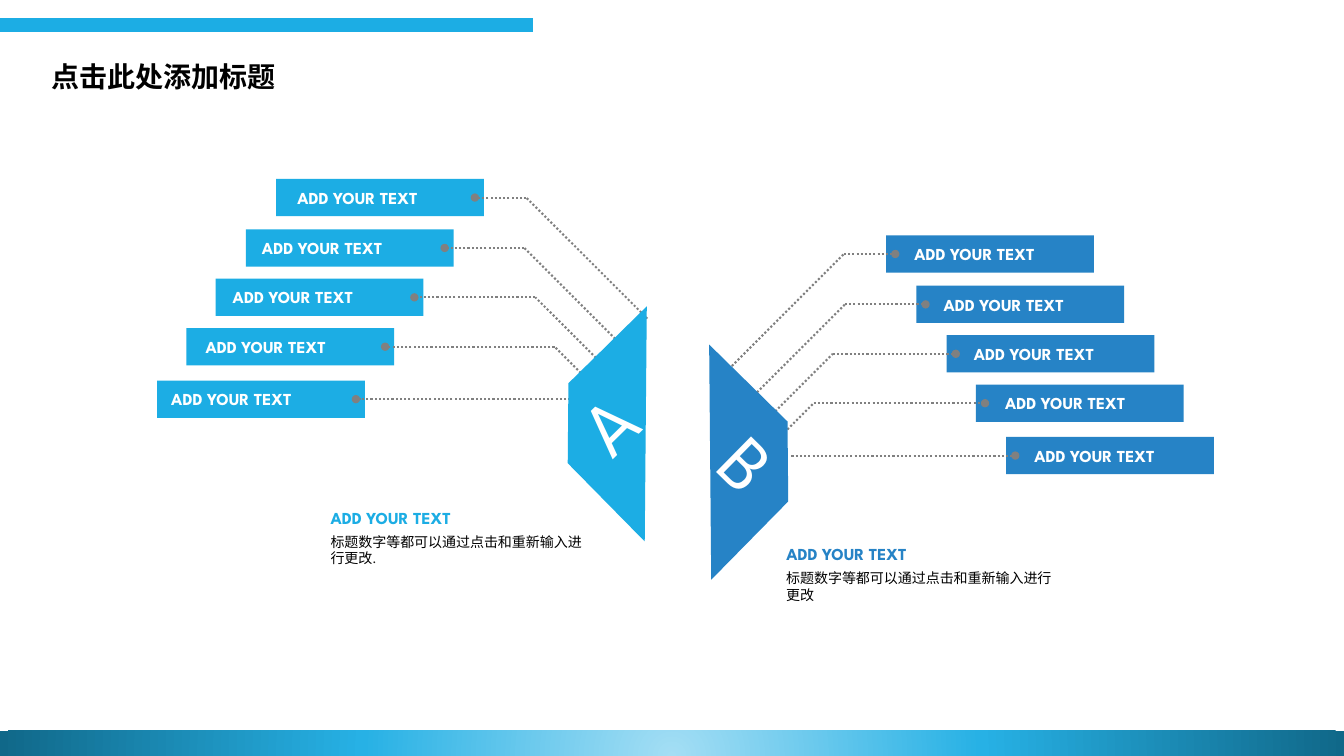
from dataclasses import dataclass

from lxml.etree import SubElement
from pptx import Presentation
from pptx.dml.color import RGBColor
from pptx.enum.dml import MSO_LINE_DASH_STYLE as Dash
from pptx.enum.shapes import MSO_CONNECTOR as Connector, MSO_SHAPE as Shape
from pptx.enum.text import MSO_ANCHOR as Anchor, MSO_AUTO_SIZE as AutoSize, PP_ALIGN as Align
from pptx.oxml import parse_xml
from pptx.oxml.ns import nsdecls, qn
from pptx.util import Inches, Pt

# Content
TITLE = "点击此处添加标题"
LABEL = "ADD YOUR TEXT"
DETAIL = "标题数字等都可以通过点击和重新输入进行更改"
ROW_Y = [1.96, 2.46, 2.95, 3.44, 3.96]  # branch heights on the left side
RISES = [1.2, 0.99, 0.66, 0.32, 0]  # size of each 45° branch section
SIDES = [
    dict(letter="B", color="2683C6", toward=-1, drop=0.56, stripe=(6.22, 3.76), angle=44.5,
         bars=[8.79, 9.09, 9.39, 9.68, 9.98], labels=[8.97, 9.26, 9.56, 9.87, 10.16],
         elbows=[8.37, 8.38, 8.26, 8.07, 7.85],
         note=(7.7, 5.35, 2.86), ending=""),
    dict(letter="A", color="1CADE4", toward=1, drop=0, stripe=(5.58, 3.38), angle=315.5,
         bars=[2.74, 2.44, 2.14, 1.85, 1.56], labels=[2.85, 2.5, 2.21, 1.94, 1.6],
         elbows=[5.22, 5.2, 5.31, 5.5, 5.74],
         note=(3.18, 4.99, 2.8), ending="."),
]
BAR_W, BAR_H, DOT_INSET = 2.06, 0.37, 0.09
LABEL_W, LABEL_H = 1.45, 0.3
STRIPE_SIZE = 1.65
FOOTER_STOPS = [(0, "A4DEF4"), (46, "27B1E5"), (100, "106889")]


@dataclass(frozen=True)
class Theme:
    latin: str = "League Spartan"
    chinese: str = "Noto Sans CJK SC"
    accent: str = "1CADE4"
    branch: str = "808080"
    white: str = "FFFFFF"
    black: str = "000000"
    ending: str = "181715"
    title: int = 20
    label: int = 12
    detail: int = 10
    letter: int = 54


THEME = Theme()

deck = Presentation()
deck.slide_width, deck.slide_height = Inches(13.33), Inches(7.5)
slide = deck.slides.add_slide(deck.slide_layouts[6])


def set_font(font, face, size, color, bold=False):
    font.name, font.size, font.bold = face, Pt(size), bold
    font.color.rgb = RGBColor.from_string(color)
    if face == THEME.chinese:
        latin = font._element.find(qn("a:latin")) if hasattr(font, "_element") else font._rPr.find(qn("a:latin"))
        latin.addnext(parse_xml(f'<a:ea {nsdecls("a")} typeface="{face}"/>'))


def add_text(x, y, w, h, words, wrap=True, grow=True):
    box = slide.shapes.add_textbox(Inches(x), Inches(y), Inches(w), Inches(h))
    frame = box.text_frame
    frame.word_wrap = wrap
    frame.auto_size = AutoSize.SHAPE_TO_FIT_TEXT if grow else AutoSize.NONE
    frame.paragraphs[0].add_run().text = words
    return frame


def add_label(x, y, color):
    frame = add_text(x, y, LABEL_W, LABEL_H, LABEL, wrap=False)
    set_font(frame.paragraphs[0].font, THEME.latin, THEME.label, color, True)


def add_block(preset, x, y, w, h, color):
    block = slide.shapes.add_shape(preset, Inches(x), Inches(y), Inches(w), Inches(h))
    block.shadow.inherit = False
    block.line.fill.background()
    block.fill.solid()
    block.fill.fore_color.rgb = RGBColor.from_string(color)
    return block


def add_line(start, end, color, width, dotted=False, dot_end=False):
    line = slide.shapes.add_connector(Connector.STRAIGHT, *map(Inches, start + end))
    line.line.color.rgb = RGBColor.from_string(color)
    line.line.width = Pt(width)
    if dotted:
        line.line.dash_style = Dash.ROUND_DOT
    if dot_end:
        SubElement(line.line._get_or_add_ln(), qn("a:tailEnd"), type="oval")
    SubElement(line._element.spPr, qn("a:effectLst"))


# Header stripe, footer band and title
add_line((0, 0.25), (5.29, 0.25), THEME.accent, 10)
footer = add_block(Shape.RECTANGLE, 0, 7.25, 13.33, 0.25, THEME.accent)
stops = "".join(f'<a:gs pos="{pos * 1000}"><a:srgbClr val="{color}"/></a:gs>'
                for pos, color in FOOTER_STOPS)
solid = footer._element.spPr.find(qn("a:solidFill"))
solid.getparent().replace(solid, parse_xml(
    f'<a:gradFill {nsdecls("a")} rotWithShape="1"><a:gsLst>{stops}</a:gsLst><a:path path="circle">'
    '<a:fillToRect l="50000" t="130000" r="50000" b="-30000"/></a:path></a:gradFill>'))

heading = add_text(0.41, 0.49, 4.88, 0.58, TITLE, grow=False)
heading.vertical_anchor = Anchor.MIDDLE
heading.paragraphs[0].line_spacing = 0.9
set_font(heading.paragraphs[0].font, THEME.chinese, THEME.title, THEME.black, True)

for side in SIDES:
    toward = side["toward"]  # horizontal direction from the bars to the stripe
    rows = zip(ROW_Y, RISES, side["bars"], side["labels"], side["elbows"])
    for row_y, rise, bar_x, label_x, elbow_x in rows:
        y = row_y + side["drop"]
        # Bar and its label
        add_block(Shape.RECTANGLE, bar_x, y - BAR_H / 2, BAR_W, BAR_H, side["color"])
        add_label(label_x, y - LABEL_H / 2, THEME.white)
        # Dotted branch from the stripe to the dot in the bar
        dot_x = bar_x + (BAR_W - DOT_INSET if toward > 0 else DOT_INSET)
        if rise:
            add_line((elbow_x + toward * rise, y + rise), (elbow_x, y),
                     THEME.branch, 1.5, dotted=True)
        add_line((elbow_x, y), (dot_x, y), THEME.branch, 1.5, dotted=True, dot_end=True)

    # Note under the stripe
    note_x, note_y, note_w = side["note"]
    add_label(note_x, note_y, side["color"])
    detail = add_text(note_x, note_y + 0.25, note_w, 0.54, DETAIL).paragraphs[0]
    set_font(detail.runs[0].font, THEME.chinese, THEME.detail, THEME.black)
    if side["ending"]:
        ending = detail.add_run()
        ending.text = side["ending"]
        set_font(ending.font, THEME.latin, THEME.detail, THEME.ending)

    # Lettered stripe
    stripe = add_block(Shape.DIAGONAL_STRIPE, *side["stripe"], STRIPE_SIZE, STRIPE_SIZE, side["color"])
    stripe.adjustments[0] = 0.34
    stripe.rotation = side["angle"]
    if toward < 0:
        stripe._element.spPr.find(qn("a:xfrm")).set("flipH", "1")
    stripe.text_frame.text = side["letter"]
    stripe.text_frame.vertical_anchor = Anchor.MIDDLE
    letter = stripe.text_frame.paragraphs[0]
    letter.alignment = Align.CENTER
    set_font(letter.font, THEME.latin, THEME.letter, THEME.white)

deck.save("out.pptx")
